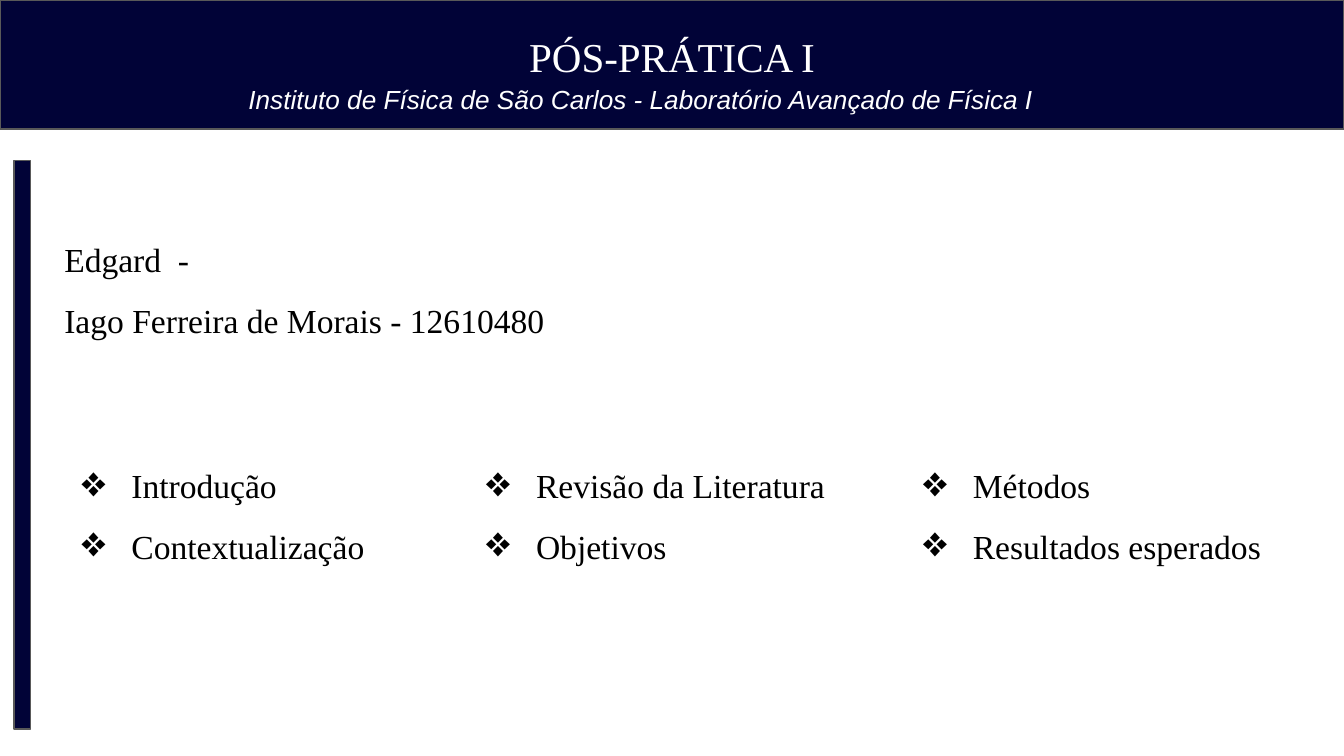
from lxml import etree
from pptx import Presentation
from pptx import util as u
from pptx.dml import color
from pptx.enum import shapes, text
from pptx.oxml import ns

NAVY, GREY, WHITE, BLACK = "010337", "595959", "FFFFFF", "000000"
SERIF, SANS = "Times New Roman", "Arial"


def rgb(value):
    return color.RGBColor.from_string(value)


def add_bar(page, left, top, width, height, rotation=0):
    bar = page.shapes.add_shape(
        shapes.MSO_SHAPE.RECTANGLE,
        u.Inches(left), u.Inches(top), u.Inches(width), u.Inches(height))
    bar.rotation = rotation
    bar.shadow.inherit = False
    bar.fill.solid()
    bar.fill.fore_color.rgb = rgb(NAVY)
    bar.line.color.rgb = rgb(GREY)
    bar.line.width = u.Pt(0.75)


def add_text(page, left, top, width, height, lines, size=18, font=SERIF,
             ink=BLACK, spacing=None, align=None, italic=None):
    box = page.shapes.add_textbox(
        u.Inches(left), u.Inches(top), u.Inches(width), u.Inches(height))
    frame = box.text_frame
    frame.word_wrap = True
    frame.margin_left = frame.margin_right = u.Inches(0.1)
    frame.margin_top = frame.margin_bottom = u.Inches(0.1)
    frame.text = "\n".join(lines)
    for para in frame.paragraphs:
        para.alignment = align
        para.line_spacing = spacing
        para.font.size = u.Pt(size)
        para.font.name = font
        para.font.italic = italic
        para.font.color.rgb = rgb(ink)
    return frame


def add_bullet(para, symbol="❖"):
    props = para._p.get_or_add_pPr()
    props.set("marL", str(u.Inches(0.5)))
    props.set("indent", str(-u.Inches(0.38)))
    # Bullet elements belong just before the default run properties
    run_defaults = props.find(ns.qn("a:defRPr"))
    bullet_color = etree.Element(ns.qn("a:buClr"))
    etree.SubElement(bullet_color, ns.qn("a:srgbClr"), val=BLACK)
    for part in (bullet_color,
                 etree.Element(ns.qn("a:buSzPts"), val="1800"),
                 etree.Element(ns.qn("a:buFont"), typeface=SERIF),
                 etree.Element(ns.qn("a:buChar"), char=symbol)):
        run_defaults.addprevious(part)


def add_topics(page, left, topics):
    frame = add_text(page, left, 3.21, 3.07, 0.96, topics, spacing=1.5)
    for para in frame.paragraphs:
        add_bullet(para)


def main():
    # Widescreen page, 16 to 9
    deck = Presentation()
    deck.slide_width = u.Inches(10)
    deck.slide_height = u.Inches(10 * 9 / 16)
    page = deck.slides.add_slide(deck.slide_layouts[6])

    # Header
    add_bar(page, 0, 0, 10, 0.96)
    title = add_text(page, 3.59, 0.12, 2.82, 0.58, ["PÓS-PRÁTICA I"], size=22,
                     ink=WHITE, align=text.PP_ALIGN.CENTER)
    title.vertical_anchor = text.MSO_ANCHOR.BOTTOM

    # Topic columns
    columns = {
        0.38: ["Introdução", "Contextualização"],
        3.39: ["Revisão da Literatura", "Objetivos"],
        6.64: ["Métodos", "Resultados esperados"],
    }
    for left, topics in columns.items():
        add_topics(page, left, topics)

    # Authors
    add_text(page, 0.38, 1.53, 5.32, 0.96,
             ["Edgard  -", "Iago Ferreira de Morais - 12610480"], spacing=1.5)

    # Course line in the header
    add_text(page, 1.75, 0.52, 6.5, 0.44,
             ["Instituto de Física de São Carlos - Laboratório Avançado de Física I"],
             size=14, font=SANS, ink=WHITE, italic=True)

    # Side bar, turned upright
    add_bar(page, -1.95, 3.25, 4.23, 0.12, rotation=270)

    deck.save("out.pptx")


main()
